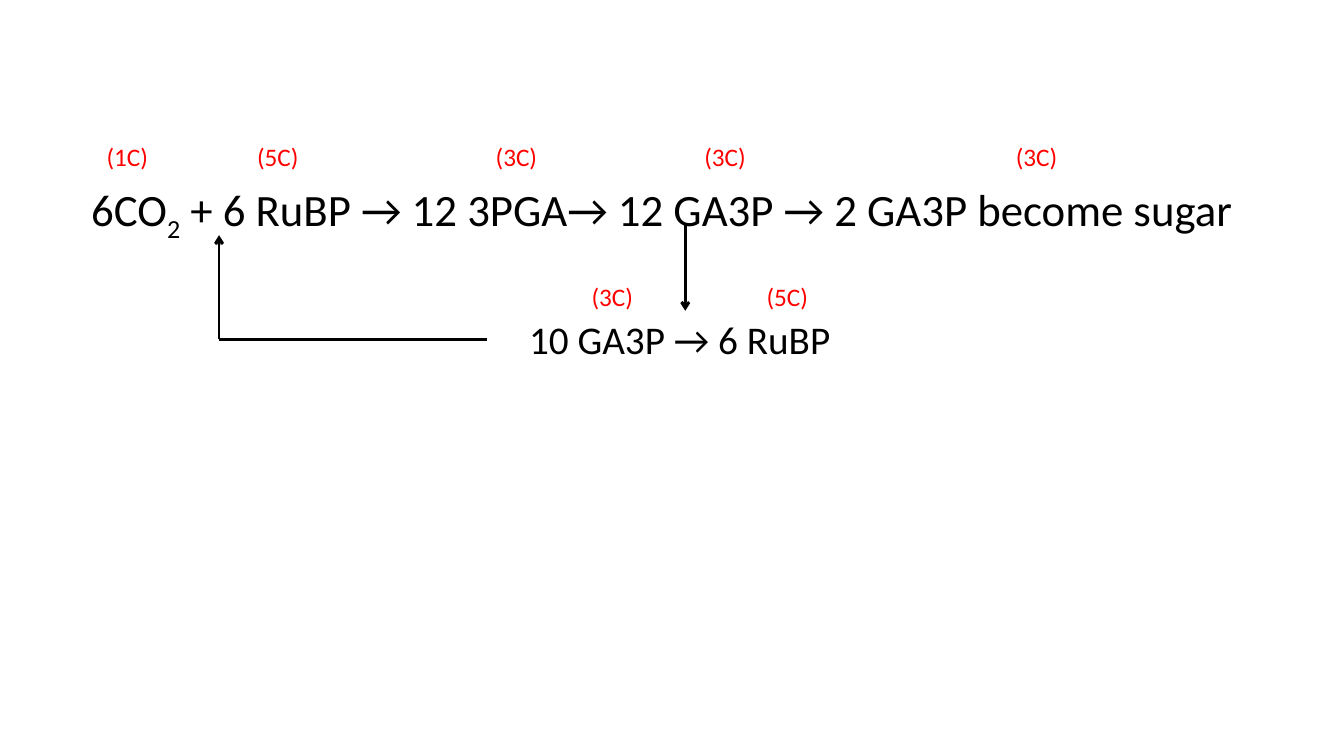
from lxml import etree
from pptx import Presentation
from pptx.dml.color import RGBColor
from pptx.enum import shapes, text
from pptx.oxml import ns
from pptx.util import Pt

BLACK, RED = "000000", "FF0000"

prs = Presentation()
prs.slide_width, prs.slide_height = Pt(960), Pt(540)
s = prs.slides.add_slide(prs.slide_layouts[6])


def color(hex_code):
    return RGBColor.from_string(hex_code)


def add_text(x, y, w, h, runs, size, hex_code, centered=True):
    tf = s.shapes.add_textbox(Pt(x), Pt(y), Pt(w), Pt(h)).text_frame
    tf.word_wrap = centered
    p = tf.paragraphs[0]
    p.alignment = text.PP_ALIGN.CENTER if centered else text.PP_ALIGN.LEFT
    for words, baseline in runs:
        r = p.add_run()
        r.text = words
        r.font.name, r.font.size = "Calibri", Pt(size)
        r.font.color.rgb = color(hex_code)
        if baseline:
            r.font._element.set("baseline", str(baseline))


# Reactions
add_text(5.8, 126.5, 934.5, 41.8,
         [("6CO", 0), ("2", -25000),
          (" + 6 RuBP → 12 3PGA→ 12 GA3P → 2 GA3P become sugar", 0)], 32, BLACK)
add_text(348, 222, 275, 41, [("10 GA3P → 6 RuBP", 0)], 28, BLACK)

# Regeneration loop and downward arrow
for x1, y1, x2, y2, arrow in [(156.5, 242.5, 156.5, 168, True),
                              (156.5, 242.5, 348, 242.5, False),
                              (489.5, 160.5, 489.5, 222, True)]:
    line = s.shapes.add_connector(shapes.MSO_CONNECTOR.STRAIGHT,
                                  Pt(x1), Pt(y1), Pt(x2), Pt(y2))
    line.line.width = Pt(2)
    line.line.color.rgb = color(BLACK)
    if arrow:
        etree.SubElement(line.line._get_or_add_ln(), ns.qn("a:tailEnd"), type="arrow")
    etree.SubElement(line._element.spPr, ns.qn("a:effectLst"))

# Carbon counts above each compound
for y, counts in [(97.2, [(69, 1), (176.5, 5), (347, 3), (496, 3), (718.5, 3)]),
                  (197.3, [(415.5, 3), (540.5, 5)])]:
    for x, carbons in counts:
        add_text(x, y, 44.6, 29, [(f"({carbons}C)", 0)], 18, RED, centered=False)

prs.save("out.pptx")
